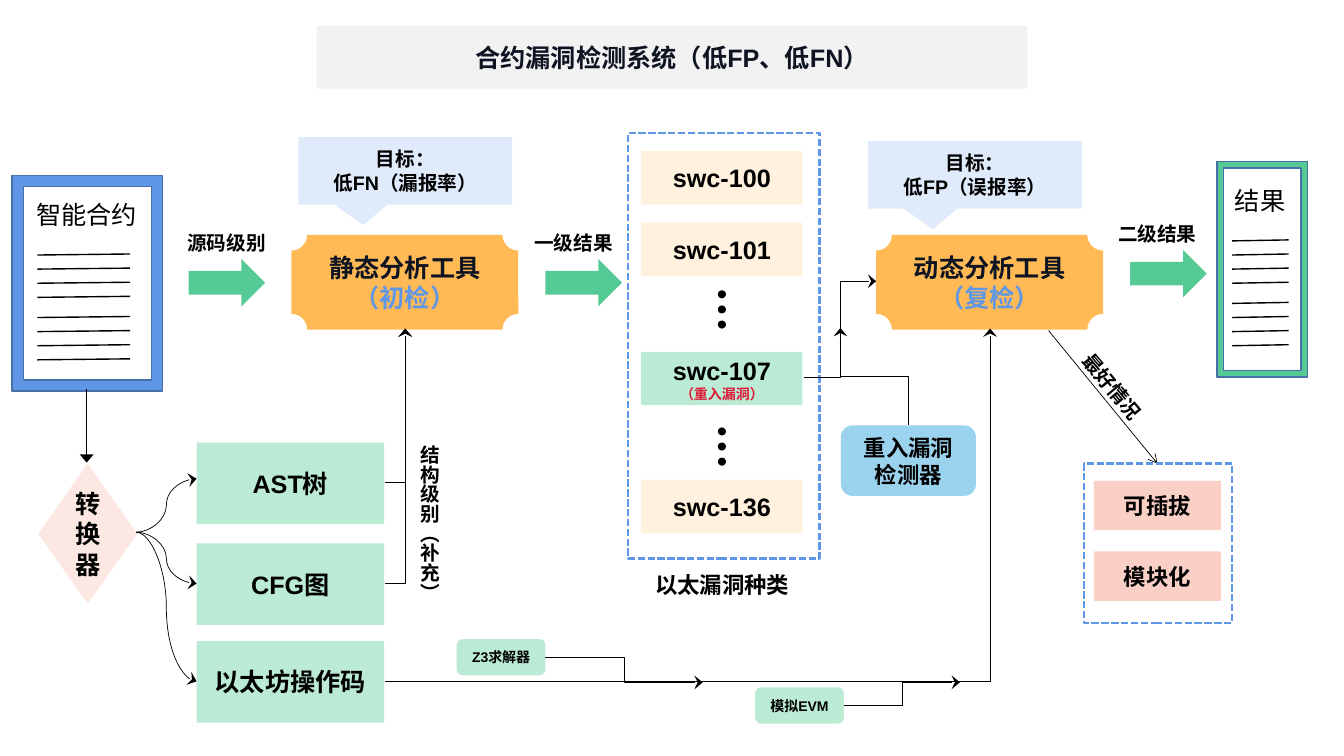
import pptx
import pptx.dml.color
import pptx.enum.dml
import pptx.enum.shapes
import pptx.enum.text
import pptx.oxml
import pptx.oxml.ns
import pptx.util

Inches = pptx.util.Inches
RGBColor = pptx.dml.color.RGBColor
Shape = pptx.enum.shapes.MSO_SHAPE
Connector = pptx.enum.shapes.MSO_CONNECTOR

BLACK = RGBColor(0x00, 0x00, 0x00)
INK = RGBColor(0x0F, 0x14, 0x23)
BLUE = RGBColor(0x60, 0x96, 0xE6)
FRAME_EDGE = RGBColor(0x47, 0x6F, 0xAA)
GREEN = RGBColor(0x56, 0xCA, 0x95)
MINT = RGBColor(0xBB, 0xEA, 0xD5)
ORANGE = RGBColor(0xFF, 0xBA, 0x55)
CREAM = RGBColor(0xFF, 0xF1, 0xDD)
GREY = RGBColor(0xF2, 0xF2, 0xF2)
ROSE = RGBColor(0xFC, 0xE7, 0xE2)
PINK = RGBColor(0xF9, 0xCF, 0xC6)
PALE_BLUE = RGBColor(0xDF, 0xEA, 0xFA)
SKY = RGBColor(0x9B, 0xD3, 0xEF)
RED = RGBColor(0xDE, 0x1A, 0x37)


class Diagram:
    font = "Arial"

    def __init__(self, slide):
        self.slide = slide
        self.shapes = slide.shapes

    def start_group(self):
        self.shapes = self.slide.shapes.add_group_shape().shapes

    def end_group(self):
        self.shapes = self.slide.shapes

    def add_lines(self, frame, lines, align=None, bold=True):
        """Each line is (text, size, colour)."""
        for i, (text, size, color) in enumerate(lines):
            paragraph = frame.add_paragraph() if i else frame.paragraphs[0]
            paragraph.alignment = align
            run = paragraph.add_run()
            run.text = text
            run.font.name = self.font
            run.font.size = pptx.util.Pt(size)
            run.font.bold = bold
            run.font.color.rgb = color

    def block(self, kind, at, fill=None, lines=(), edge=None, adjust=()):
        shape = self.shapes.add_shape(kind, *map(Inches, at))
        shape.shadow.inherit = False
        if fill is None:
            shape.fill.background()
        else:
            shape.fill.solid()
            shape.fill.fore_color.rgb = fill
        if edge is None:
            shape.line.fill.background()
        else:
            shape.line.color.rgb = edge
            shape.line.width = pptx.util.Pt(1)
        for i, value in enumerate(adjust):
            shape.adjustments[i] = value
        shape.text_frame.word_wrap = True
        shape.text_frame.vertical_anchor = pptx.enum.text.MSO_ANCHOR.MIDDLE
        self.add_lines(shape.text_frame, lines, pptx.enum.text.PP_ALIGN.CENTER)
        return shape

    def dashed_box(self, at):
        box = self.block(Shape.RECTANGLE, at, edge=BLUE)
        box.line.width = pptx.util.Pt(1.75)
        box.line.dash_style = pptx.enum.dml.MSO_LINE.SQUARE_DOT

    def label(self, at, text, size=14, bold=True, wrap=False, rotation=0, vertical=False):
        box = self.shapes.add_textbox(*map(Inches, at))
        box.rotation = rotation
        box.text_frame.word_wrap = wrap
        box.text_frame.auto_size = pptx.enum.text.MSO_AUTO_SIZE.SHAPE_TO_FIT_TEXT
        if vertical:
            box.text_frame._txBody.bodyPr.set("vert", "eaVert")
        self.add_lines(box.text_frame, [(text, size, BLACK)], bold=bold)

    def link(self, start, end, kind=Connector.STRAIGHT, head=None, width=0.5,
             preset=None, turn=0, head_width="lg"):
        link = self.shapes.add_connector(kind, *map(Inches, start + end))
        link.line.color.rgb = BLACK
        link.line.width = pptx.util.Pt(width)
        properties = link._element.spPr
        qn = pptx.oxml.ns.qn
        if head:
            tail = properties.makeelement(
                qn("a:tailEnd"), {"type": head, "w": head_width, "len": "med"})
            properties.find(qn("a:ln")).append(tail)
        if preset:
            properties.find(qn("a:prstGeom")).set("prst", preset)
        if turn:
            properties.find(qn("a:xfrm")).set("rot", str(turn * 60000))
        properties.append(properties.makeelement(qn("a:effectLst"), {}))

    def document(self, at, color, title, title_at, rule_x, wrap):
        self.start_group()
        self.block(Shape.FRAME, at, color, edge=FRAME_EDGE, adjust=[0.074])
        self.label(title_at, title, 18, bold=False, wrap=wrap)
        for paragraph_top in (0.79, 1.41):
            for row in range(4):
                y = at[1] + paragraph_top + 0.14 * row
                self.link((rule_x[0], y), (rule_x[1], y - 0.01), width=1)
        self.end_group()

    def dots(self, top):
        self.start_group()
        for i in range(3):
            self.block(Shape.OVAL, (7.12, top + 0.15 * i, 0.08, 0.08), BLACK)
        self.end_group()


deck = pptx.Presentation()
deck.slide_width, deck.slide_height = Inches(13.33), Inches(7.5)
diagram = Diagram(deck.slides.add_slide(deck.slide_layouts[6]))

# Title
diagram.block(Shape.RECTANGLE, (3.14, 0.26, 7.05, 0.62), GREY,
              [("合约漏洞检测系统（低FP、低FN）", 18, INK)])

# Vulnerability classes
diagram.dashed_box((6.23, 1.32, 1.9, 4.22))
for name, top in (("swc-100", 1.5), ("swc-101", 2.21), ("swc-136", 4.76)):
    diagram.block(Shape.RECTANGLE, (6.36, top, 1.6, 0.53), CREAM, [(name, 18, BLACK)])
diagram.block(Shape.RECTANGLE, (6.36, 3.49, 1.6, 0.53), MINT,
              [("swc-107", 18, BLACK), ("（重入漏洞）", 10, RED)])
for top in (2.88, 4.24):
    diagram.dots(top)
diagram.label((6.4, 5.62, 1.53, 0.37), "以太漏洞种类", 16)

# Input contract and result
diagram.document((0.12, 1.74, 1.49, 2.14), BLUE, "智能合约",
                 (0.26, 1.93, 1.2, 0.4), (0.37, 1.29), False)
diagram.document((12.07, 1.6, 0.9, 2.14), GREEN, "结果",
                 (12.15, 1.79, 0.73, 0.4), (12.22, 12.78), True)

# Stage arrows with their labels
for text, arrow, caption in (("源码级别", (1.87, 2.57), (1.76, 2.24)),
                             ("一级结果", (5.41, 2.57), (5.2, 2.24)),
                             ("二级结果", (11.21, 2.48), (10.99, 2.15))):
    diagram.block(Shape.RIGHT_ARROW, arrow + (0.76, 0.47), GREEN)
    diagram.label(caption + (0.98, 0.34), text)

# Analysis tools and their goals
for tool, phase, left, goal, goal_at in (
        ("静态分析工具", "（初检）", 2.89, "低FN（漏报率）", (2.96, 1.36)),
        ("动态分析工具", "（复检）", 8.69, "低FP（误报率）", (8.61, 1.4))):
    diagram.block(Shape.PLAQUE, (left, 2.33, 2.25, 0.94), ORANGE,
                  [(tool, 18, INK), (phase, 18, BLUE)])
    diagram.block(Shape.RECTANGULAR_CALLOUT, goal_at + (2.12, 0.67), PALE_BLUE,
                  [("目标：", 14, BLACK), (goal, 14, BLACK)], adjust=[-0.197, 0.803])

# Converter and its outputs
diagram.block(Shape.DIAMOND, (0.38, 4.6, 0.98, 1.39), ROSE, [("转换器", 18, BLACK)])
diagram.link((0.86, 3.86), (0.86, 4.59), head="triangle")
for output, top, entry in (("AST树", 4.39, 4.75), ("CFG图", 5.39, 5.79),
                           ("以太坊操作码", 6.36, 6.76)):
    diagram.block(Shape.RECTANGLE, (1.95, top, 1.86, 0.81), MINT, [(output, 18, BLACK)])
    diagram.link((1.35, 5.28), (1.95, entry), Connector.CURVE, "stealth")
for y, tool_x in ((4.79, 4.02), (5.79, 4.02), (6.76, 9.82)):
    diagram.link((3.82, y), (tool_x, 3.26), Connector.ELBOW, "stealth",
                 preset="bentConnector2")
diagram.label((3.99, 4.32, 0.44, 2.04), "结构级别（补充）", wrap=True, vertical=True)

# Helpers on the opcode path
for helper, left, top, end_x in (("Z3求解器", 4.53, 6.34, 6.97), ("模拟EVM", 7.49, 6.82, 9.52)):
    diagram.block(Shape.ROUNDED_RECTANGLE, (left, top, 0.88, 0.36), MINT, [(helper, 10, BLACK)])
    diagram.link((left + 0.88, top + 0.18), (end_x, 6.77), Connector.ELBOW, "stealth")

# Reentrancy detector
diagram.block(Shape.ROUNDED_RECTANGLE, (8.34, 4.22, 1.34, 0.7), SKY,
              [("重入漏洞检测器", 16, BLACK)])
diagram.link((7.97, 3.74), (8.69, 2.79), Connector.ELBOW, "stealth")
diagram.link((8.19, 4.07), (9.15, 3.4), Connector.ELBOW, "stealth", turn=270)

# Best case
diagram.link((10.4, 3.28), (11.48, 4.6), head="arrow", head_width="med")
diagram.label((10.54, 3.67, 0.98, 0.34), "最好情况", rotation=50)
diagram.start_group()
for trait, top in (("可插拔", 4.77), ("模块化", 5.47)):
    diagram.block(Shape.RECTANGLE, (10.85, top, 1.26, 0.49), PINK, [(trait, 16, BLACK)])
diagram.dashed_box((10.75, 4.6, 1.47, 1.58))
diagram.end_group()

deck.save("out.pptx")
